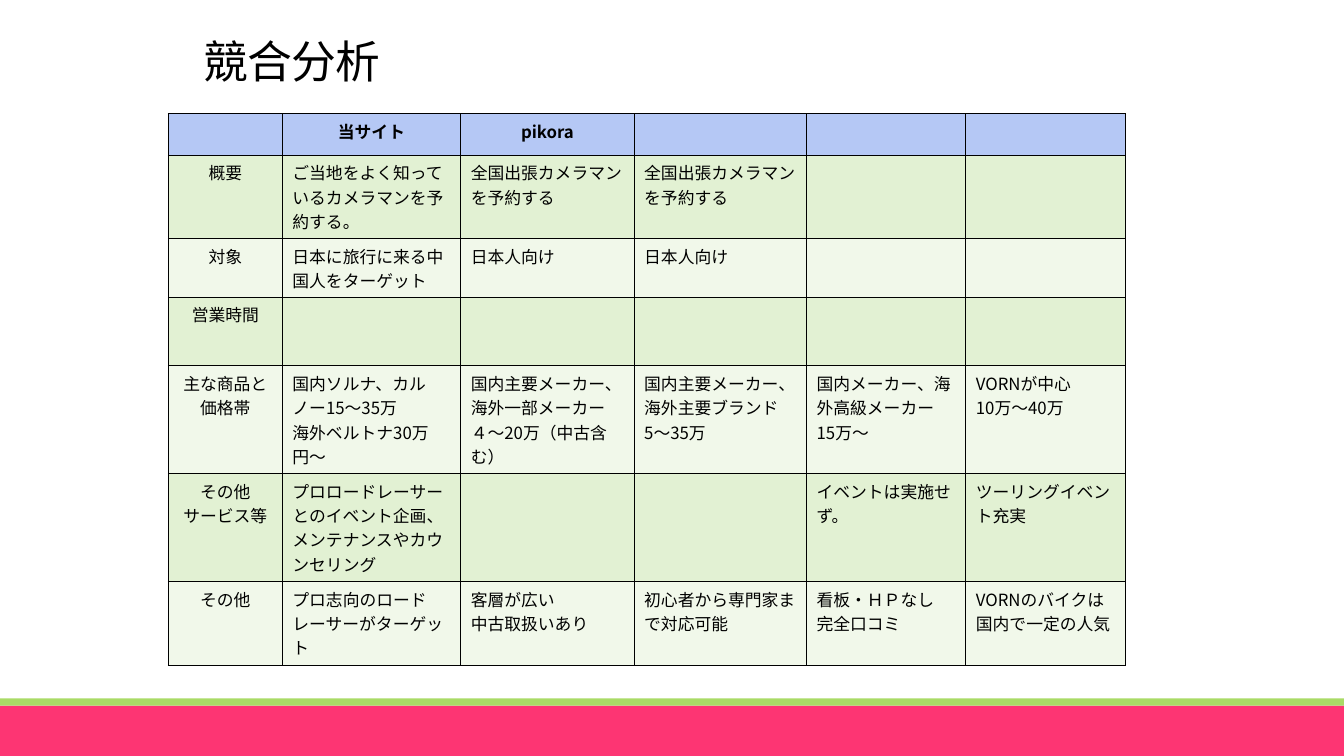
import pptx
import pptx.util
import pptx.dml.color
import pptx.enum.shapes
import pptx.enum.text
import pptx.oxml.ns
from lxml import etree

Inches, Pt = pptx.util.Inches, pptx.util.Pt
qn = pptx.oxml.ns.qn

# Content: one tuple per table row, "\n" starts a new paragraph
TITLE = "競合分析"
COMPARISON = [
    ("", "当サイト", "pikora", "", "", ""),
    ("概要", "ご当地をよく知っているカメラマンを予約する。",
     "全国出張カメラマンを予約する", "全国出張カメラマンを予約する", "", ""),
    ("対象", "日本に旅行に来る中国人をターゲット", "日本人向け", "日本人向け", "", ""),
    ("営業時間", "", "", "", "", ""),
    ("主な商品と\n価格帯", "国内ソルナ、カルノー15～35万\n海外ベルトナ30万円～",
     "国内主要メーカー、海外一部メーカー４～20万（中古含む）",
     "国内主要メーカー、海外主要ブランド\n5～35万",
     "国内メーカー、海外高級メーカー\n15万～", "VORNが中心\n10万～40万"),
    ("その他\nサービス等", "プロロードレーサーとのイベント企画、メンテナンスやカウンセリング",
     "", "", "イベントは実施せず。", "ツーリングイベント充実"),
    ("その他", "プロ志向のロードレーサーがターゲット", "客層が広い\n中古取扱いあり",
     "初心者から専門家まで対応可能", "看板・ＨＰなし\n完全口コミ",
     "VORNのバイクは国内で一定の人気"),
]
COLUMN_WIDTHS = [1.13, 1.77, 1.72, 1.71, 1.58, 1.58]
ROW_HEIGHTS = [0.41, 0.83, 0.58, 0.68, 1.07, 1.07, 0.83]
HEADER_FILL, ODD_FILL, EVEN_FILL = "B5C8F5", "E2F1D3", "F1F8EA"
FOOTER_BANDS = [(7, 0.5, "FD3573"), (6.93, 0.07, "A9DB66")]  # top, height, fill
TABLE_FONT, TITLE_FONT, INK = "Noto Sans CJK JP", "Calibri", "000000"


def color(hex_string):
    return pptx.dml.color.RGBColor.from_string(hex_string)


def set_font(font, name, size, bold=False):
    font.name, font.size, font.bold = name, Pt(size), bold
    font.color.rgb = color(INK)


def set_borders(cell):
    properties = cell._tc.get_or_add_tcPr()
    for side in ("a:lnL", "a:lnR", "a:lnT", "a:lnB"):
        line = etree.SubElement(properties, qn(side), w=str(Pt(1)))
        fill = etree.SubElement(line, qn("a:solidFill"))
        etree.SubElement(fill, qn("a:srgbClr"), val=INK)


def fill_cell(cell, text, row, column):
    set_borders(cell)
    cell.fill.solid()
    cell.fill.fore_color.rgb = color(
        HEADER_FILL if row == 0 else ODD_FILL if row % 2 else EVEN_FILL)
    cell.text = text
    centred = row == 0 or column == 0
    for paragraph in cell.text_frame.paragraphs:
        paragraph.alignment = (pptx.enum.text.PP_ALIGN.CENTER if centred
                               else pptx.enum.text.PP_ALIGN.LEFT)
        set_font(paragraph.font, TABLE_FONT, 12, bold=row == 0)
        etree.SubElement(paragraph.font._element, qn("a:ea"), typeface=TABLE_FONT)
        if not text:  # keeps empty cells from growing their row
            etree.SubElement(paragraph._p, qn("a:endParaRPr"), sz="1200")


deck = pptx.Presentation()
deck.slide_width, deck.slide_height = Inches(13.33), Inches(7.5)
slide = deck.slides.add_slide(deck.slide_layouts[6])

# Footer bands
for top, height, fill in FOOTER_BANDS:
    band = slide.shapes.add_shape(pptx.enum.shapes.MSO_SHAPE.RECTANGLE, 0,
                                  Inches(top), deck.slide_width, Inches(height))
    band.shadow.inherit = False
    band.fill.solid()
    band.fill.fore_color.rgb = color(fill)
    band.line.fill.background()

# Title
heading = slide.shapes.add_textbox(Inches(1.92), Inches(0.37), Inches(9), Inches(0.69))
heading.text_frame.word_wrap = True
heading.text_frame.text = TITLE
title_line = heading.text_frame.paragraphs[0]
title_line.line_spacing = 0.85
set_font(title_line.font, TITLE_FONT, 32)
title_line.runs[0].font._element.set("spc", "-50")

# Comparison table
comparison = slide.shapes.add_table(
    len(ROW_HEIGHTS), len(COLUMN_WIDTHS), Inches(1.67), Inches(1.13),
    Inches(sum(COLUMN_WIDTHS)), Inches(sum(ROW_HEIGHTS))).table
for table_column, width in zip(comparison.columns, COLUMN_WIDTHS):
    table_column.width = Inches(width)
for table_row, height in zip(comparison.rows, ROW_HEIGHTS):
    table_row.height = Inches(height)
for row, texts in enumerate(COMPARISON):
    for column, text in enumerate(texts):
        fill_cell(comparison.cell(row, column), text, row, column)

deck.save("out.pptx")
